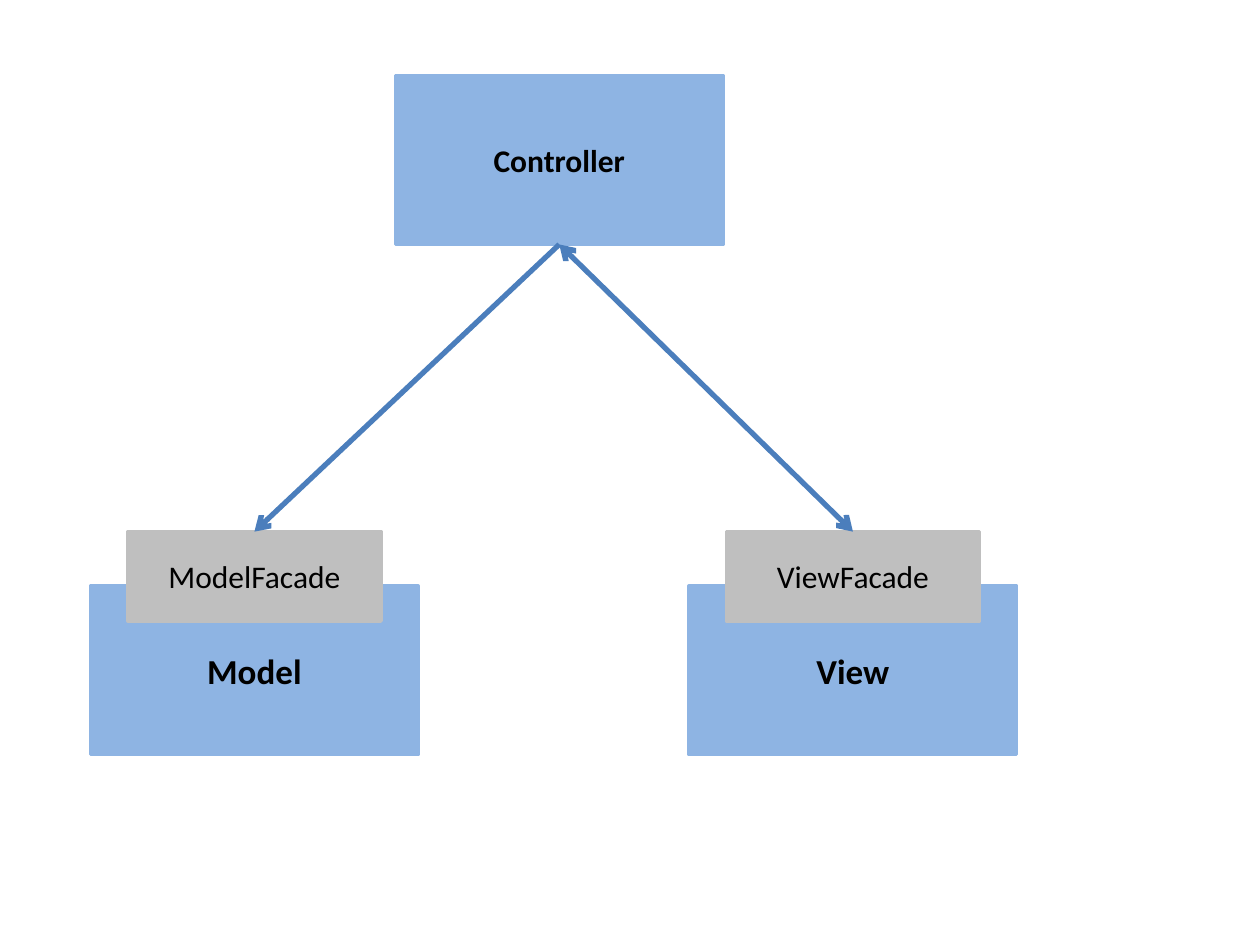
from lxml import etree
from pptx import Presentation
from pptx import util as u
from pptx.dml.color import RGBColor
from pptx.enum import shapes, text
from pptx.oxml.ns import qn

BLUE, GRAY, ARROW = "8EB4E3", "BFBFBF", "4B7EBC"
BOX_W, BOX_H = 187.2, 96.5
FACADE_W, FACADE_H = 144.7, 51.1
BOX_TOP, FACADE_TOP = 334.8, 303.8
TOP, BOTTOM = 0, 2


def color(value):
    return RGBColor.from_string(value)


def add_box(s, label, x, y, w, h, fill, size, bold):
    sp = s.shapes.add_shape(shapes.MSO_SHAPE.RECTANGLE, u.Pt(x), u.Pt(y), u.Pt(w), u.Pt(h))
    sp.shadow.inherit = False
    sp.fill.solid()
    sp.fill.fore_color.rgb = color(fill)
    sp.line.color.rgb = color(fill)
    sp.line.width = u.Pt(2)
    tf = sp.text_frame
    tf.text = label
    tf.vertical_anchor = text.MSO_ANCHOR.MIDDLE
    p = tf.paragraphs[0]
    p.alignment = text.PP_ALIGN.CENTER
    font = p.runs[0].font
    font.name, font.size, font.bold = "Calibri", u.Pt(size), bold
    font.color.rgb = color("000000")
    return sp


def add_component(s, name, x):
    add_box(s, name, x, BOX_TOP, BOX_W, BOX_H, BLUE, 20, True)
    facade_x = x + (BOX_W - FACADE_W) / 2
    return add_box(s, name + "Facade", facade_x, FACADE_TOP, FACADE_W, FACADE_H, GRAY, 18, False)


def add_arrow(s, start, end, ends):
    c = s.shapes.add_connector(shapes.MSO_CONNECTOR.STRAIGHT, 0, 0, 0, 0)
    c.begin_connect(start, BOTTOM)
    c.end_connect(end, TOP)
    c.line.color.rgb = color(ARROW)
    c.line.width = u.Pt(3)
    ln = c.line._get_or_add_ln()
    for tag in ends:
        etree.SubElement(ln, qn(tag), type="arrow")
    etree.SubElement(c._element.spPr, qn("a:effectLst"))


def main():
    prs = Presentation()
    prs.slide_width, prs.slide_height = u.Pt(720), u.Pt(540)
    s = prs.slides.add_slide(prs.slide_layouts[6])
    model = add_component(s, "Model", 51.8)
    view = add_component(s, "View", 393.8)
    controller = add_box(s, "Controller", 226, 43.2, BOX_W, BOX_H, BLUE, 18, True)
    add_arrow(s, controller, view, ["a:headEnd", "a:tailEnd"])
    add_arrow(s, controller, model, ["a:tailEnd"])
    prs.save("out.pptx")


main()
